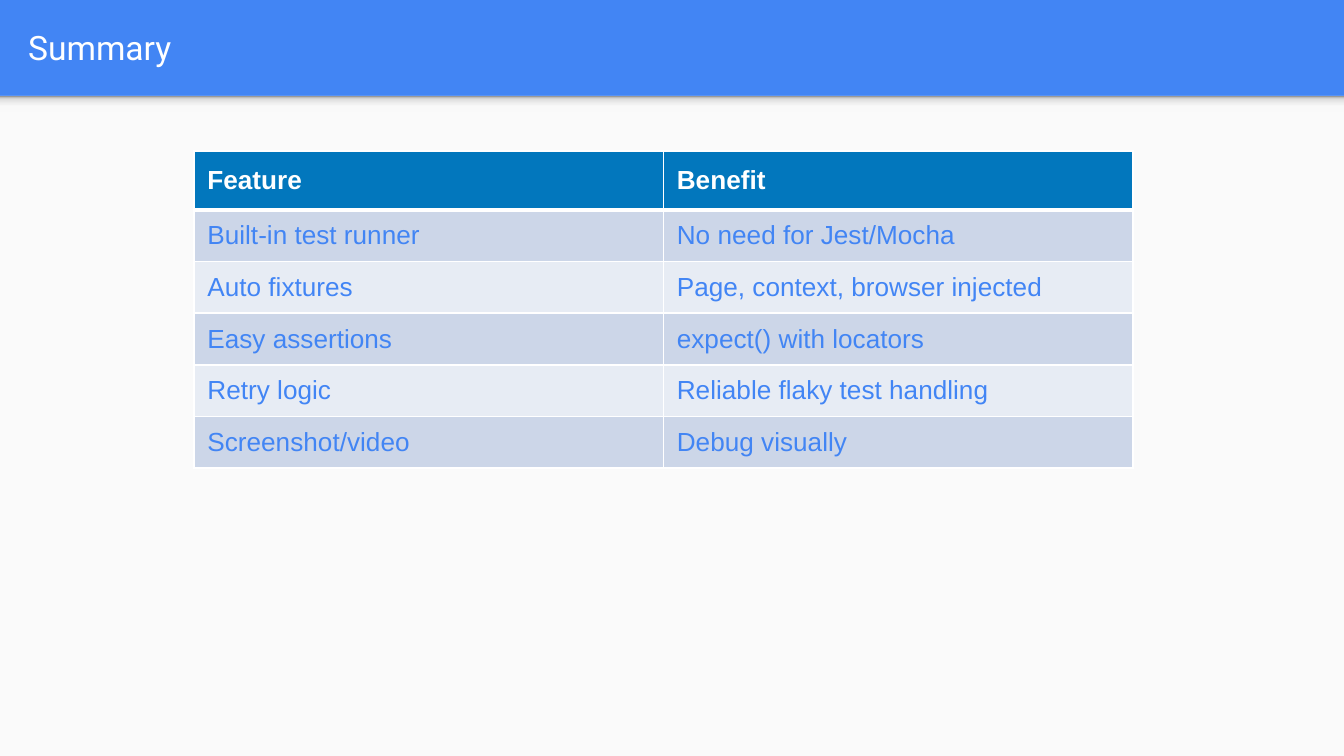
import copy

import pptx
import pptx.dml.color
import pptx.enum.shapes
import pptx.enum.text
import pptx.oxml
import pptx.oxml.ns
import pptx.util

SCALE = 914400 / 134.4
HUES = {
    "blue": "4285F4",
    "paper": "FAFAFA",
    "white": "FFFFFF",
    "head": "0277BD",
    "odd": "CCD6E8",
    "even": "E7ECF4",
}
# Shade below the title band, from its lower edge to its upper edge
SHADE = [(0, "F9F9F9"), (0.36, "F9F9F9"), (0.8, "DEDEDE"), (1, "999999")]
ROWS = [
    ("Feature", "Benefit"),
    ("Built-in test runner", "No need for Jest/Mocha"),
    ("Auto fixtures", "Page, context, browser injected"),
    ("Easy assertions", "expect() with locators"),
    ("Retry logic", "Reliable flaky test handling"),
    ("Screenshot/video", "Debug visually"),
]


def px(num):
    return pptx.util.Emu(round(num * SCALE))


def rgb(code):
    return pptx.dml.color.RGBColor.from_string(code)


def write(frame, text, size=14, font="Arial", hue="blue", bold=False):
    frame.vertical_anchor = pptx.enum.text.MSO_ANCHOR.MIDDLE
    run = frame.paragraphs[0].add_run()
    run.text = text
    run.font.size = pptx.util.Pt(size)
    run.font.name = font
    run.font.bold = bold
    run.font.color.rgb = rgb(HUES[hue])


def add_rect(slide, box):
    kind = pptx.enum.shapes.MSO_SHAPE.RECTANGLE
    rect = slide.shapes.add_shape(kind, *map(px, box))
    rect.shadow.inherit = False
    rect.line.fill.background()
    return rect


def add_page(slide, box):
    left, top, wide, _ = box
    page = add_rect(slide, box)
    page.fill.solid()
    page.fill.fore_color.rgb = rgb(HUES["paper"])

    shade = add_rect(slide, (left, top, wide, 16))
    shade.fill.gradient()
    shade.fill.gradient_angle = 90
    first = shade._element.spPr.find(".//" + pptx.oxml.ns.qn("a:gs"))
    for _ in SHADE[2:]:
        first.addnext(copy.deepcopy(first))
    for stop, (place, code) in zip(shade.fill.gradient_stops, SHADE):
        stop.position = place
        stop.color.rgb = rgb(code)


def add_title(slide, box, text):
    frame = slide.shapes.add_textbox(*map(px, box)).text_frame
    frame.word_wrap = True
    frame.margin_left = frame.margin_right = pptx.util.Inches(0.1)
    frame.margin_top = frame.margin_bottom = pptx.util.Inches(0.1)
    write(frame, text, size=18, font="Roboto", hue="white")


def edge(cell, **sides):
    """Draw white borders, with widths in points for sides L, R, T and B."""
    props = cell._tc.get_or_add_tcPr()
    for spot, (side, wide) in enumerate(sides.items()):
        props.insert(spot, pptx.oxml.parse_xml(
            f'<a:ln{side} {pptx.oxml.ns.nsdecls("a")} w="{pptx.util.Pt(wide)}">'
            f'<a:solidFill><a:srgbClr val="{HUES["white"]}"/></a:solidFill>'
            f'</a:ln{side}>'))


def add_grid(slide, box, rows, head=59):
    _, _, wide, high = box
    count, cols = len(rows), len(rows[0])
    table = slide.shapes.add_table(count, cols, *map(px, box)).table
    for col in table.columns:
        col.width = px(wide / cols)
    for i, texts in enumerate(rows):
        top = i == 0
        table.rows[i].height = px(head if top else (high - head) / (count - 1))
        for j, text in enumerate(texts):
            cell = table.cell(i, j)
            cell.fill.solid()
            tone = "head" if top else "odd" if i % 2 else "even"
            cell.fill.fore_color.rgb = rgb(HUES[tone])
            edge(cell, L=1, R=1, T=3 if i == 1 else 1, B=3 if top else 1)
            cell.vertical_anchor = pptx.enum.text.MSO_ANCHOR.MIDDLE
            write(cell.text_frame, text, bold=top,
                  hue="white" if top else "blue")


def main():
    deck = pptx.Presentation()
    deck.slide_width, deck.slide_height = px(1344), px(756)
    slide = deck.slides.add_slide(deck.slide_layouts[6])
    slide.background.fill.solid()
    slide.background.fill.fore_color.rgb = rgb(HUES["blue"])
    add_page(slide, (0, 96, 1344, 660))
    add_title(slide, (15, 3, 1297, 89), "Summary")
    add_grid(slide, (194, 151, 939, 317), ROWS)
    deck.save("out.pptx")


if __name__ == "__main__":
    main()
